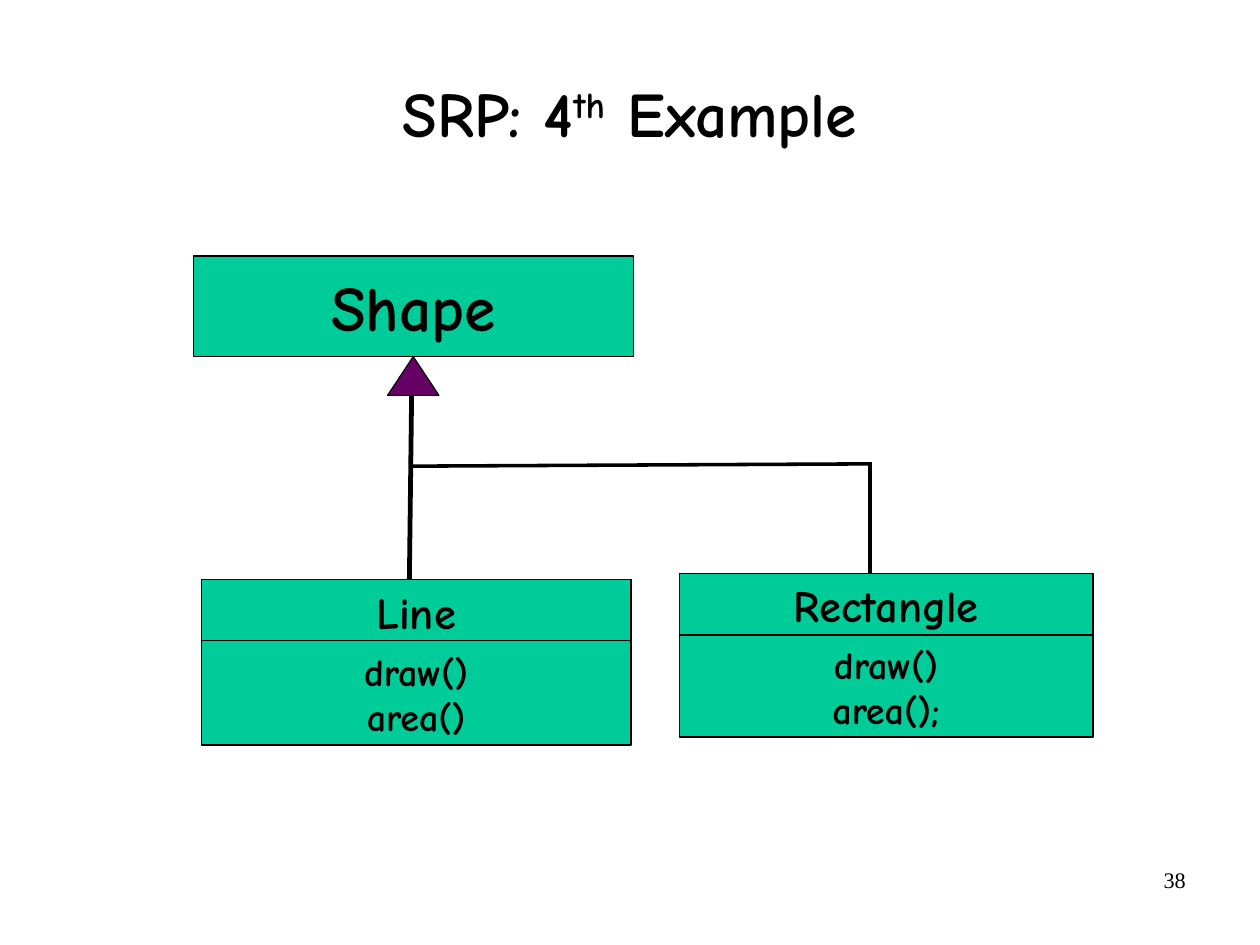
from pptx import Presentation
from pptx import util as u
from pptx.dml.color import RGBColor
from pptx.enum import shapes, text
from pptx.oxml.ns import qn
from lxml import etree

WIDTH, HEIGHT = u.Cm(28), u.Cm(21)
COMIC, TIMES = "Comic Neue", "Times New Roman"
BLACK, GREEN, PURPLE = "000000", "00CC99", "660066"
NAME_ROWS = 6.5  # height of a class name compartment


def color(hex_value):
    return RGBColor.from_string(hex_value)


# Grid of 100 columns by 100 rows
def col(n):
    return round(WIDTH * n / 100)


def row(n):
    return round(HEIGHT * n / 100)


def area(x, y, w, h):
    return col(x), row(y), col(w), row(h)


def add_run(p, content, size, font=COMIC, bold=True, baseline=0):
    r = p.add_run()
    r.text = content
    r.font.name, r.font.size, r.font.bold = font, u.Pt(size), bold
    r.font.color.rgb = color(BLACK)
    if baseline:
        r.font._element.set("baseline", str(baseline * 1000))


def set_margins(tf, side, top):
    tf.margin_left = tf.margin_right = u.Inches(side)
    tf.margin_top = tf.margin_bottom = u.Inches(top)


def add_title(s, parts):
    sp = s.shapes.title
    sp.left, sp.top, sp.width, sp.height = area(7.35, 4.11, 85.3, 16.57)
    tf = sp.text_frame
    tf.auto_size = text.MSO_AUTO_SIZE.NONE
    tf.vertical_anchor = text.MSO_ANCHOR.MIDDLE
    set_margins(tf, 0, 0)
    p = tf.paragraphs[0]
    p.alignment, p.line_spacing = text.PP_ALIGN.CENTER, 0.88
    for content, baseline in parts:
        add_run(p, content, 40, baseline=baseline)


def add_figure(s, kind, box, fill):
    sp = s.shapes.add_shape(kind, *area(*box))
    sp.shadow.inherit = False
    sp.fill.solid()
    sp.fill.fore_color.rgb = color(fill)
    sp.line.color.rgb = color(BLACK)
    sp.line.width = u.Pt(0.75)
    return sp


def add_line(s, x1, y1, x2, y2, weight):
    line = s.shapes.add_connector(shapes.MSO_CONNECTOR.STRAIGHT,
                                  col(x1), row(y1), col(x2), row(y2))
    line.line.color.rgb = color(BLACK)
    line.line.width = u.Pt(weight)
    etree.SubElement(line._element.spPr, qn("a:effectLst"))


def add_class(s, box, name, size, methods=()):
    sp = add_figure(s, shapes.MSO_SHAPE.RECTANGLE, box, GREEN)
    tf = sp.text_frame
    tf.word_wrap = False
    tf.vertical_anchor = text.MSO_ANCHOR.MIDDLE
    set_margins(tf, 0.11, 0.06)
    p = tf.paragraphs[0]
    p.alignment = text.PP_ALIGN.CENTER
    add_run(p, name, size)
    if methods:
        p.space_after = u.Pt(6)
        x, y, w, _ = box
        add_line(s, x, y + NAME_ROWS, x + w, y + NAME_ROWS, 0.75)
    for method in methods:
        p = tf.add_paragraph()
        p.alignment = text.PP_ALIGN.CENTER
        add_run(p, method, 24)


def add_page_number(s, number):
    tf = s.shapes.add_textbox(*area(71.69, 91.05, 23.32, 6.89)).text_frame
    tf.word_wrap = True
    set_margins(tf, 0.1, 0.05)
    p = tf.paragraphs[0]
    p.alignment = text.PP_ALIGN.RIGHT
    add_run(p, number, 14, TIMES, bold=False)


def main():
    prs = Presentation()
    prs.slide_width, prs.slide_height = WIDTH, HEIGHT
    s = prs.slides.add_slide(prs.slide_layouts[5])

    add_title(s, [("SRP: 4", 0), ("th", 30), (" Example", 0)])

    # Classes
    add_class(s, (15.34, 27.09, 34.94, 10.64), "Shape", 40)
    add_class(s, (15.97, 61.31, 34.12, 17.53), "Line", 28,
              ["draw()", "area()"])
    add_class(s, (53.9, 60.7, 32.85, 17.29), "Rectangle", 28,
              ["draw()", "area();"])

    # Inheritance arrow: head, stem, branch and drop
    add_figure(s, shapes.MSO_SHAPE.ISOSCELES_TRIANGLE,
               (30.76, 37.73, 4.08, 4.11), PURPLE)
    add_line(s, 32.67, 41.84, 32.49, 61.31, 3)
    add_line(s, 32.67, 49.33, 69.06, 49.09, 2.25)
    add_line(s, 69.06, 48.85, 69.06, 60.7, 2.25)

    add_page_number(s, "38")
    prs.save("out.pptx")


if __name__ == "__main__":
    main()
